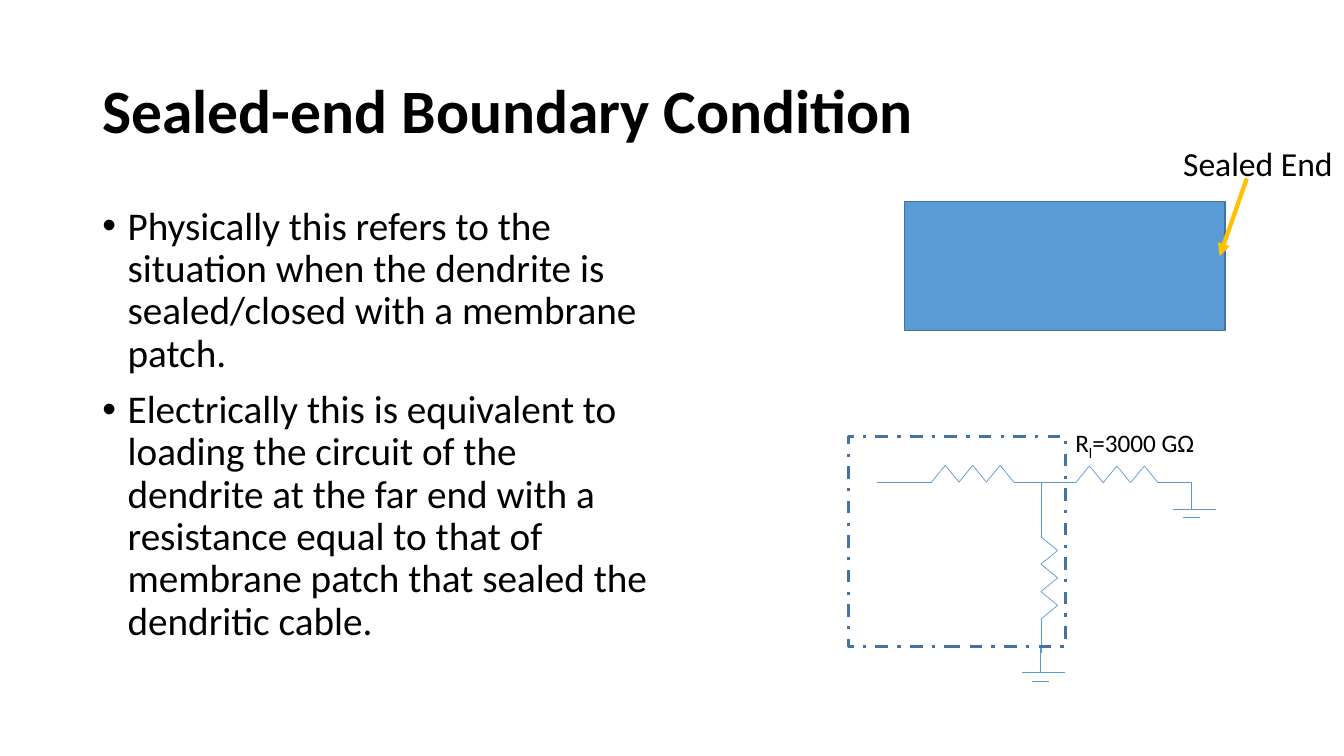
from itertools import pairwise

from lxml.etree import SubElement
from pptx import Presentation
from pptx.dml.color import RGBColor
from pptx.enum.dml import MSO_LINE
from pptx.enum.shapes import MSO_CONNECTOR, MSO_SHAPE
from pptx.enum.text import MSO_ANCHOR, MSO_AUTO_SIZE, PP_ALIGN
from pptx.oxml.ns import qn
from pptx.util import Pt


def colour(value):
    return RGBColor.from_string(value)


class SlideBuilder:
    FONT = "Calibri"
    TEXT = "000000"
    BLUE = "5B9BD5"
    OUTLINE = "43739E"

    def __init__(self, slide):
        self.slide = slide
        self.shapes = slide.shapes

    def place(self, element, left, top, width, height):
        element.left, element.top = Pt(left), Pt(top)
        element.width, element.height = Pt(width), Pt(height)

    def style(self, paragraph, size, bold=False):
        for run in paragraph.runs:
            run.font.name = self.FONT
            run.font.size = Pt(size)
            run.font.bold = bold
            run.font.color.rgb = colour(self.TEXT)

    def title(self, text, box):
        heading = self.slide.shapes.title
        self.place(heading, *box)
        frame = heading.text_frame
        frame.text = text
        frame.auto_size = MSO_AUTO_SIZE.NONE
        frame.vertical_anchor = MSO_ANCHOR.MIDDLE
        paragraph = frame.paragraphs[0]
        paragraph.alignment = PP_ALIGN.LEFT
        paragraph.line_spacing = 0.9
        self.style(paragraph, 44, bold=True)

    def bullets(self, items, box):
        body = self.slide.placeholders[1]
        self.place(body, *box)
        frame = body.text_frame
        frame.text = "\n".join(items)
        frame.auto_size = MSO_AUTO_SIZE.NONE
        for index, paragraph in enumerate(frame.paragraphs):
            paragraph.line_spacing = 0.9
            paragraph.space_before = Pt(10 if index else 0)
            properties = paragraph._p.get_or_add_pPr()
            properties.set("marL", str(Pt(18)))
            properties.set("indent", str(Pt(-18)))
            SubElement(properties, qn("a:buFont"), typeface="Arial")
            SubElement(properties, qn("a:buChar"), char="•")
            self.style(paragraph, 28)

    def label(self, parts, box, size, wrap=True, subscript=None):
        note = self.shapes.add_textbox(*map(Pt, box))
        frame = note.text_frame
        frame.word_wrap = wrap
        frame.auto_size = MSO_AUTO_SIZE.SHAPE_TO_FIT_TEXT
        frame.text = parts[0]
        paragraph = frame.paragraphs[0]
        for part in parts[1:]:
            paragraph.add_run().text = part
        self.style(paragraph, size)
        if subscript is not None:
            paragraph.runs[subscript].font._element.set("baseline", "-25000")

    def rectangle(self, box, weight, fill=None, dash=None):
        block = self.shapes.add_shape(MSO_SHAPE.RECTANGLE, *map(Pt, box))
        block.shadow.inherit = False
        if fill:
            block.fill.solid()
            block.fill.fore_color.rgb = colour(fill)
        else:
            block.fill.background()
        block.line.color.rgb = colour(self.OUTLINE)
        block.line.width = Pt(weight)
        if dash:
            block.line.dash_style = dash

    def line(self, start, end, line_colour=BLUE, weight=0.5, arrow=False):
        wire = self.shapes.add_connector(
            MSO_CONNECTOR.STRAIGHT, *map(Pt, (*start, *end)))
        wire.line.color.rgb = colour(line_colour)
        wire.line.width = Pt(weight)
        if arrow:
            SubElement(wire.line._get_or_add_ln(), qn("a:tailEnd"), type="triangle")
        SubElement(wire._element.spPr, qn("a:effectLst"))

    def resistor(self, x, y, vertical=False):
        """Lead of 39 pt, six zigzag strokes, then a tail of 24 pt."""
        lead, stroke, peak, tail = 39, 9.8, 12, 24
        route = [(0, 0)]
        route += [(lead + stroke * i, peak * (i % 2)) for i in range(7)]
        route.append((lead + 6 * stroke + tail, 0))
        points = [(x + side, y + along) if vertical else (x + along, y - side)
                  for along, side in route]
        for start, end in pairwise(points):
            self.line(start, end)

    def ground(self, x, y):
        plate = y + 18.7
        self.line((x, y), (x, plate))
        self.line((x - 13.2, plate), (x + 17.8, plate))
        self.line((x - 6, plate + 6.2), (x + 6, plate + 6.2))


def main():
    prs = Presentation()
    prs.slide_width, prs.slide_height = Pt(960), Pt(540)
    page = SlideBuilder(prs.slides.add_slide(prs.slide_layouts[1]))

    # Title and explanation
    page.title("Sealed-end Boundary Condition", (66, 28.75, 828, 104.4))
    page.bullets([
        "Physically this refers to the situation when the dendrite is "
        "sealed/closed with a membrane patch.",
        "Electrically this is equivalent to loading the circuit of the dendrite "
        "at the far end with a resistance equal to that of membrane patch that "
        "sealed the dendritic cable.",
    ], (66, 143.75, 408, 342.6))

    # Equivalent circuit with its load resistance
    page.shapes = page.slide.shapes.add_group_shape().shapes
    page.resistor(626.4, 344.4)
    page.resistor(729.4, 344.8)
    page.ground(851, 344.8)
    page.resistor(743.5, 344.4, vertical=True)
    page.ground(743, 461.5)
    page.label(["R", "l", "=3000 GΩ"], (761, 301.7, 113.8, 29), 18, subscript=1)
    page.shapes = page.slide.shapes

    # Dendrite and membrane outline
    page.rectangle((646, 144, 229, 92), 1, fill=page.BLUE)
    page.rectangle((606.2, 311.8, 154.8, 149.8), 2.25, dash=MSO_LINE.DASH_DOT)

    # Sealed end pointer
    page.line((890.6, 127.4), (871.2, 182.9), "FFC000", 3, arrow=True)
    page.label(["Sealed End"], (838, 98.6, 122.4, 36), 24, wrap=False)

    prs.save("out.pptx")


if __name__ == "__main__":
    main()
